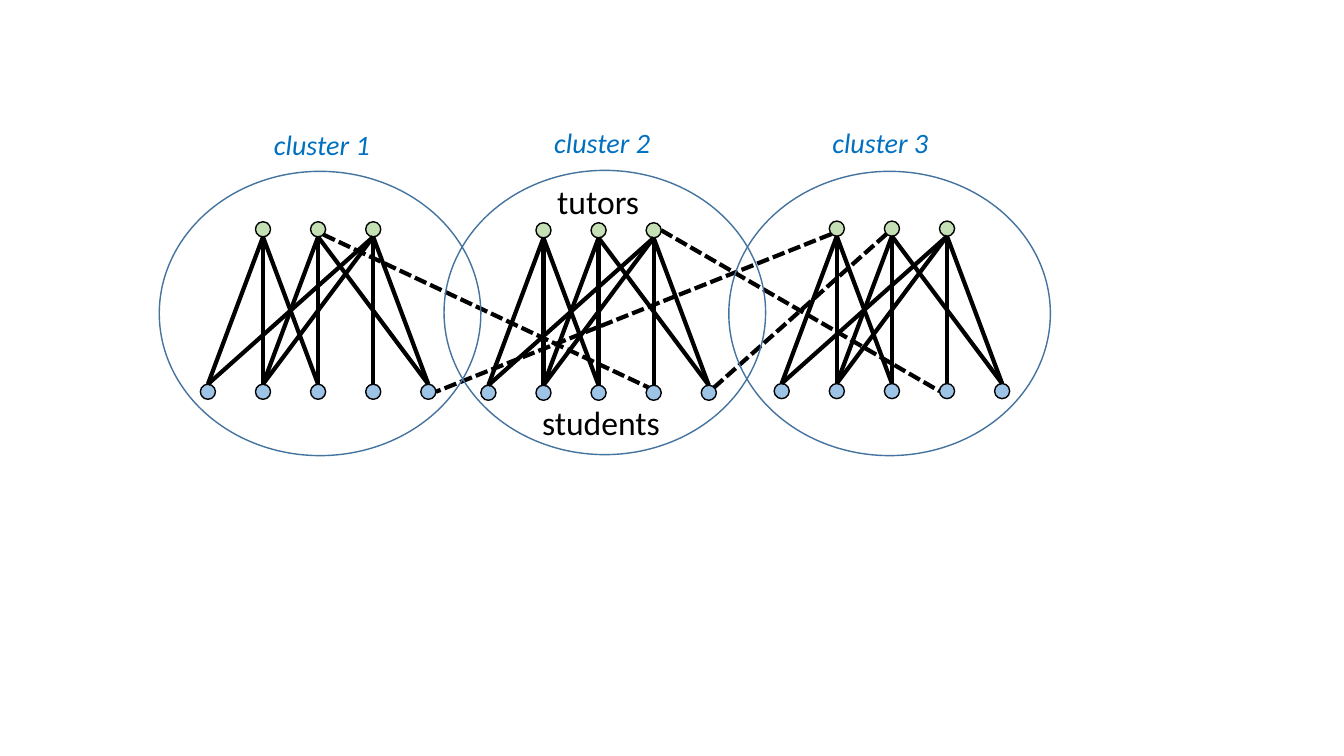
from lxml import etree
from pptx import Presentation, util as u
from pptx.dml.color import RGBColor
from pptx.enum import dml, shapes, text
from pptx.oxml.ns import qn

BLACK = RGBColor(0x00, 0x00, 0x00)
TUTOR_GREEN = RGBColor(0xC5, 0xE0, 0xB4)
STUDENT_BLUE = RGBColor(0x9D, 0xC3, 0xE6)
OUTLINE_BLUE = RGBColor(0x43, 0x73, 0x9E)
LABEL_BLUE = RGBColor(0x00, 0x70, 0xC0)

COLUMNS, ROWS = 160, 90
DOT = 1.8
PITCH = 6.56
DROP = 19.34
CLUSTER_STEP = 33.9
CLUSTER_SIZE = (38.28, 33.84)
RADIUS = DOT / 2
DIAGONAL = 0.64

TOP, BOTTOM = (0, -RADIUS), (0, RADIUS)
LEFT, RIGHT = (-RADIUS, 0), (RADIUS, 0)
UPPER_LEFT, UPPER_RIGHT = (-DIAGONAL, -DIAGONAL), (DIAGONAL, -DIAGONAL)
LOWER_LEFT, LOWER_RIGHT = (-DIAGONAL, DIAGONAL), (DIAGONAL, DIAGONAL)

CLUSTER_ORIGINS = [(24.75, 27.3), (58.14, 27.42), (93.06, 27.22)]
CLUSTER_TOPS = [20.4, 20.28, 20.4]
LABEL_CORNERS = [(31.44, 14.64), (64.8, 14.4), (97.92, 14.4)]
TUTOR_SEATS = (3, 2, 1)
STUDENT_SEATS = (4, 3, 2, 1, 0)
TUTOR_STUDENT_PAIRS = [(3, 3), (3, 1), (3, 0), (2, 4), (2, 2),
                       (1, 0), (3, 4), (1, 2), (2, 1), (1, 1)]
CROSS_CLUSTER_LINKS = [
    ((0, 2, LOWER_RIGHT), (1, 3, UPPER_LEFT)),
    ((2, 2, LOWER_LEFT), (1, 4, UPPER_RIGHT)),
    ((2, 1, LOWER_LEFT), (0, 4, RIGHT)),
    ((1, 3, RIGHT), (2, 3, LEFT)),
]


class Diagram:
    font_name = "Calibri"
    outline_width = u.Pt(1)
    link_width = u.Pt(3)

    def __init__(self, presentation):
        self.column = presentation.slide_width / COLUMNS
        self.row = presentation.slide_height / ROWS
        self.slide = presentation.slides.add_slide(presentation.slide_layouts[6])

    def place(self, x, y):
        return u.Emu(round(x * self.column)), u.Emu(round(y * self.row))

    def ellipse(self, corner, size, line_color, fill_color=None):
        shape = self.slide.shapes.add_shape(
            shapes.MSO_SHAPE.OVAL, *self.place(*corner), *self.place(*size))
        shape.shadow.inherit = False
        if fill_color is None:
            shape.fill.background()
        else:
            shape.fill.solid()
            shape.fill.fore_color.rgb = fill_color
        shape.line.color.rgb = line_color
        shape.line.width = self.outline_width

    def dot(self, center, color):
        x, y = center
        self.ellipse((x - RADIUS, y - RADIUS), (DOT, DOT), BLACK, color)

    def link(self, start, end, dashed=False):
        connector = self.slide.shapes.add_connector(
            shapes.MSO_CONNECTOR.STRAIGHT, *self.place(*start), *self.place(*end))
        connector.line.color.rgb = BLACK
        connector.line.width = self.link_width
        if dashed:
            connector.line.dash_style = dml.MSO_LINE.SQUARE_DOT
        etree.SubElement(connector._element.spPr, qn("a:effectLst"))

    def label(self, wording, corner, size, points, color, italic=False):
        box = self.slide.shapes.add_textbox(*self.place(*corner), *self.place(*size))
        frame = box.text_frame
        frame.word_wrap = False
        frame.auto_size = text.MSO_AUTO_SIZE.SHAPE_TO_FIT_TEXT
        paragraph = frame.paragraphs[0]
        paragraph.text = wording
        paragraph.font.name = self.font_name
        paragraph.font.size = u.Pt(points)
        paragraph.font.color.rgb = color
        paragraph.font.italic = italic


def tutor(cluster, seat, offset=(0, 0)):
    x, y = CLUSTER_ORIGINS[cluster]
    return x + seat * PITCH + offset[0], y + offset[1]


def student(cluster, seat, offset=(0, 0)):
    x, y = tutor(cluster, seat, offset)
    return x, y + DROP


presentation = Presentation()
presentation.slide_width = u.Inches(13.33)
presentation.slide_height = u.Inches(7.5)
diagram = Diagram(presentation)

for cluster in range(len(CLUSTER_ORIGINS)):
    for seat in TUTOR_SEATS:
        diagram.dot(tutor(cluster, seat), TUTOR_GREEN)
    for seat in STUDENT_SEATS:
        diagram.dot(student(cluster, seat), STUDENT_BLUE)
    for tutor_seat, student_seat in TUTOR_STUDENT_PAIRS:
        diagram.link(tutor(cluster, tutor_seat, BOTTOM),
                     student(cluster, student_seat, TOP))

for tutor_end, student_end in CROSS_CLUSTER_LINKS:
    diagram.link(tutor(*tutor_end), student(*student_end), dashed=True)

diagram.label("tutors", (65.16, 21), (12.24, 6), 24, BLACK)
diagram.label("students", (63.36, 47.28), (16.56, 6), 24, BLACK)

for index, top in enumerate(CLUSTER_TOPS):
    diagram.ellipse((18.96 + index * CLUSTER_STEP, top), CLUSTER_SIZE, OUTLINE_BLUE)

for number, corner in enumerate(LABEL_CORNERS, 1):
    diagram.label(f"cluster {number}", corner, (13.92, 5.28), 20, LABEL_BLUE, italic=True)

presentation.save("out.pptx")
